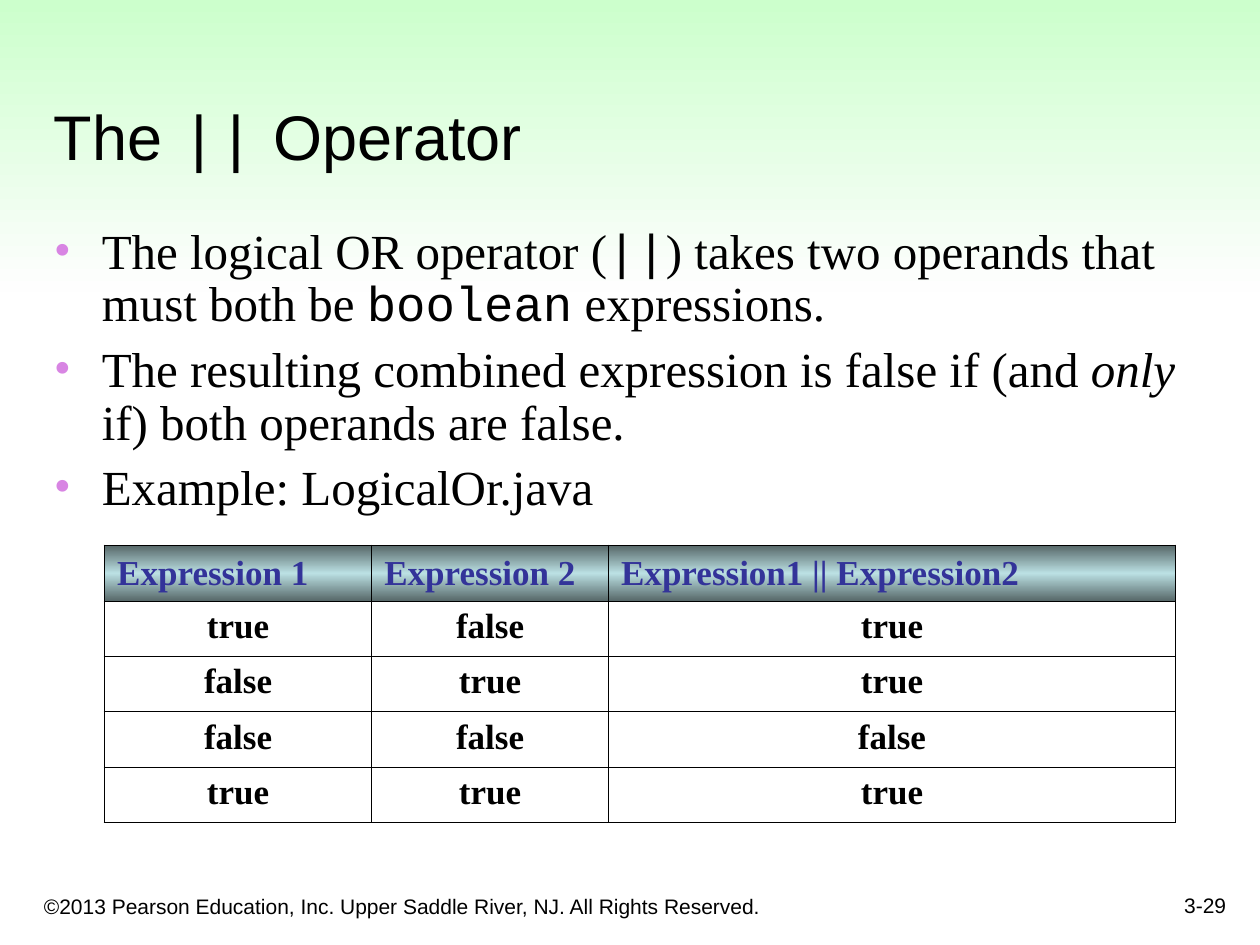
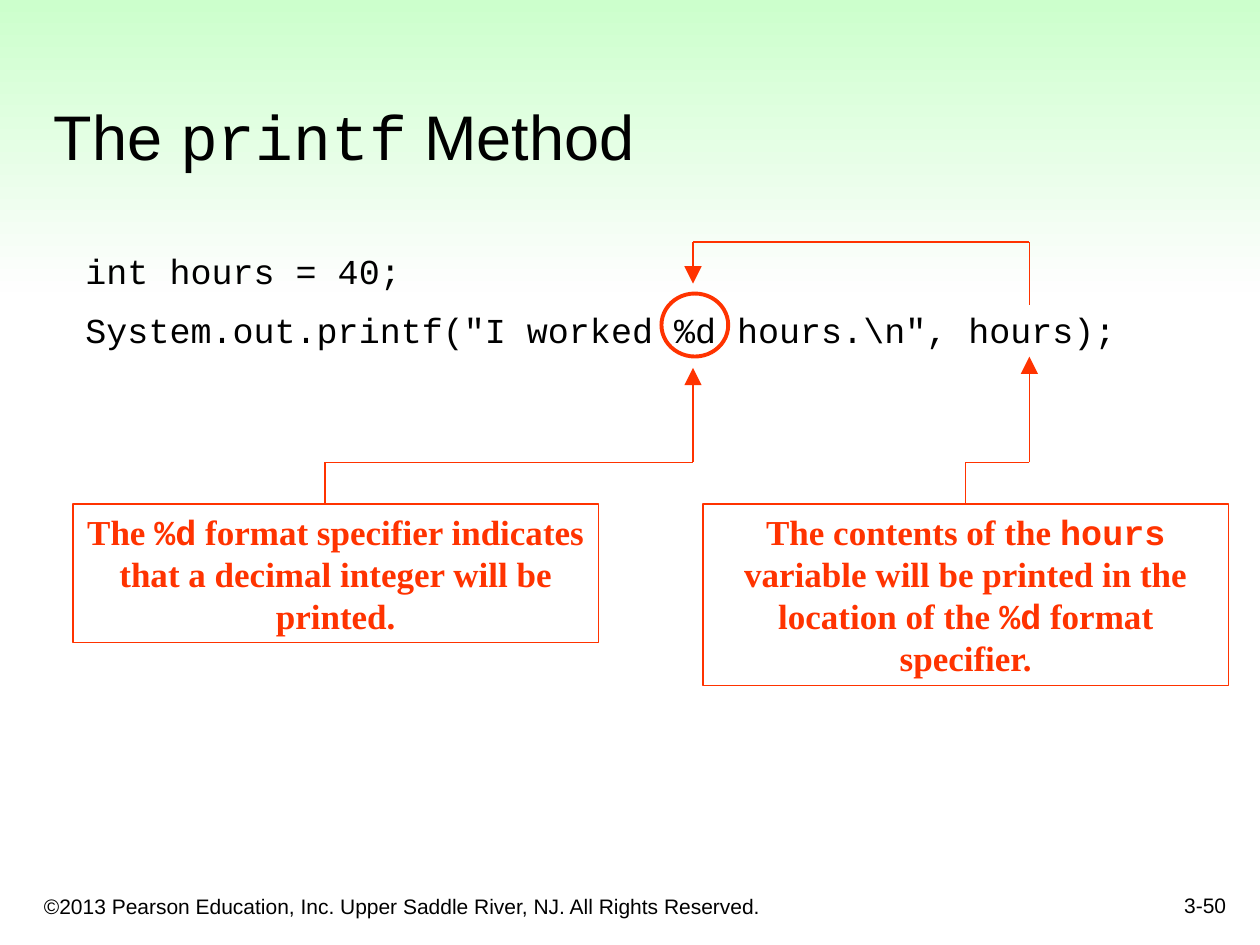
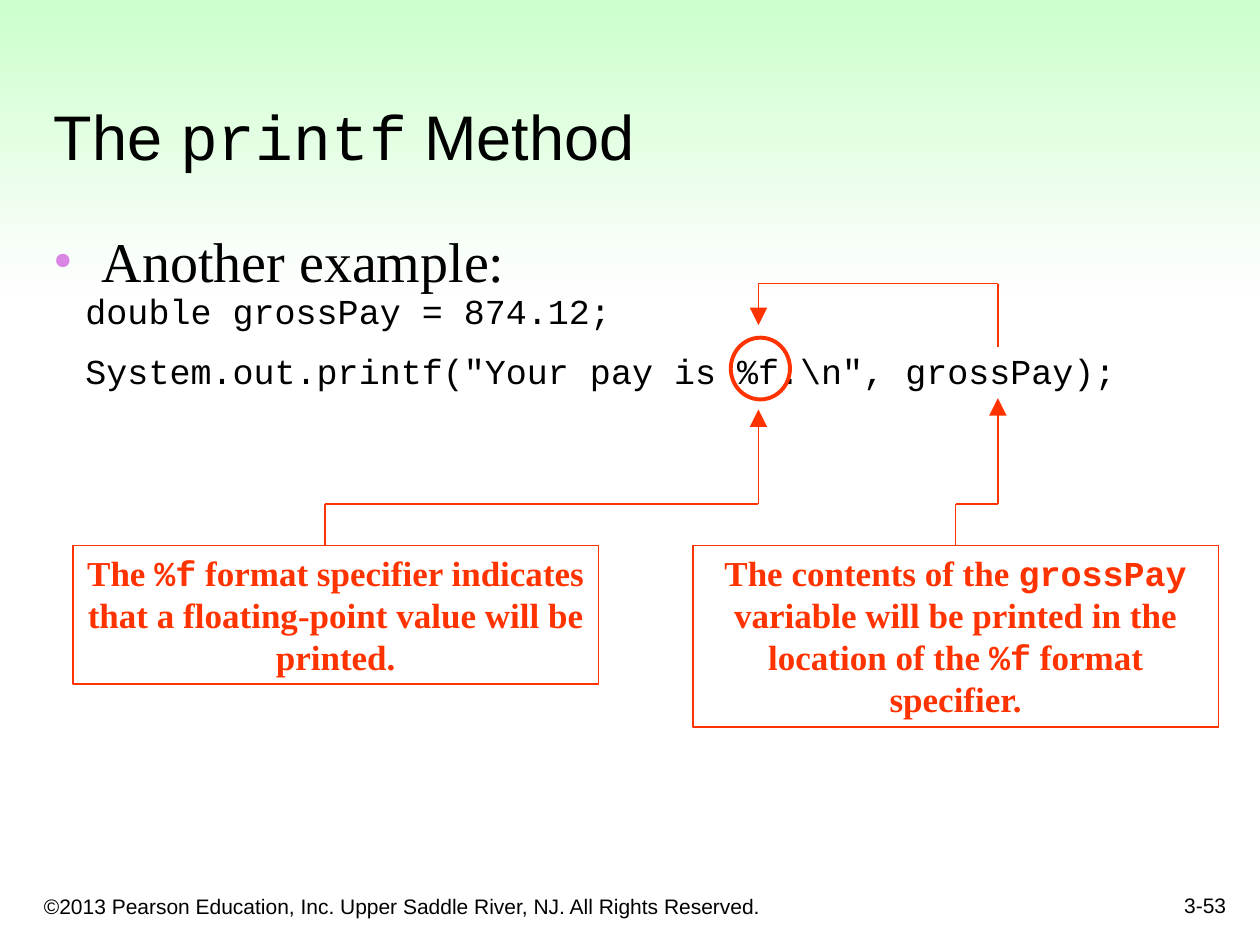
from lxml import etree
from pptx import Presentation
from pptx.dml.color import RGBColor
from pptx.enum.shapes import MSO_CONNECTOR, MSO_SHAPE
from pptx.enum.text import MSO_ANCHOR, PP_ALIGN
from pptx.oxml import parse_xml
from pptx.oxml.ns import nsdecls, qn
from pptx.util import Inches, Pt

RECTANGLE, OVAL = MSO_SHAPE.RECTANGLE, MSO_SHAPE.OVAL
STRAIGHT = MSO_CONNECTOR.STRAIGHT
TOP, MIDDLE, BOTTOM = MSO_ANCHOR.TOP, MSO_ANCHOR.MIDDLE, MSO_ANCHOR.BOTTOM
LEFT, CENTER, RIGHT = PP_ALIGN.LEFT, PP_ALIGN.CENTER, PP_ALIGN.RIGHT

COLORS = {
    "text": "000000",
    "band_top": "CCFFCC",
    "band_bottom": "FEFEFE",
    "bullet": "D885E3",
    "accent": "FF3300",
    "header_text": "333399",
    "header_edge": "576869",
    "header_middle": "BBE0E3",
}
SANS, SERIF, MONO = "Arial", "Times New Roman", "Courier New"
WIDTH, HEIGHT = 10, 7.5
CODE, ITALIC = "code", "italic"

COPYRIGHT = "©2013 Pearson Education, Inc. Upper Saddle River, NJ. All Rights Reserved."
PRINTF_TITLE = ["The ", ("printf", CODE), " Method"]

OR_BULLETS = [
    ["The logical OR operator (", ("||", CODE), ") takes two operands that must both be ",
     ("boolean", CODE), " expressions."],
    ["The resulting combined expression is false if (and ", ("only", ITALIC),
     " if) both operands are false."],
    ["Example: LogicalOr.java"],
]
TRUTH_TABLE = [
    ("Expression 1", "Expression 2", "Expression1 || Expression2"),
    ("true", "false", "true"),
    ("false", "true", "true"),
    ("false", "false", "false"),
    ("true", "true", "true"),
]
TRUTH_COLUMNS = (2.12, 1.88, 4.5)
TRUTH_ROW = 0.44

PRINTF_EXAMPLES = [
    {
        "page": "3-50",
        "bullets": [],
        "code": ["int hours = 40;", 'System.out.printf("I worked %d hours.\\n", hours);'],
        "code_top": 1.93,
        "specifier": "%d", "kind": "decimal integer", "variable": "hours",
        "circle": (5.25, 2.33, 0.53, 0.5),
        "specifier_x": 5.5, "variable_x": 8.17,
        "notes_top": 4, "variable_note_left": 5.58,
    },
    {
        "page": "3-53",
        "bullets": [["Another example:"]],
        "code": ["double grossPay = 874.12;", 'System.out.printf("Your pay is %f.\\n", grossPay);'],
        "code_top": 2.25,
        "specifier": "%f", "kind": "floating-point value", "variable": "grossPay",
        "circle": (5.8, 2.68, 0.47, 0.49),
        "specifier_x": 6.02, "variable_x": 7.92,
        "notes_top": 4.33, "variable_note_left": 5.5,
    },
]
NOTE_LEFT, NOTE_WIDTH = 0.58, 4.17


def rgb(name):
    return RGBColor.from_string(COLORS[name])


def inches(values):
    return [Inches(value) for value in values]


def gradient(*names):
    last = len(names) - 1
    stops = "".join(
        f'<a:gs pos="{100000 * index // last}"><a:srgbClr val="{COLORS[name]}"/></a:gs>'
        for index, name in enumerate(names))
    return parse_xml(f'<a:gradFill {nsdecls("a")} rotWithShape="1"><a:gsLst>{stops}</a:gsLst>'
                     '<a:lin ang="5400000" scaled="0"/></a:gradFill>')


def add_bullet(paragraph):
    properties = paragraph._p.get_or_add_pPr()
    properties.set("marL", str(Inches(0.38)))
    properties.set("indent", str(Inches(-0.38)))
    color = etree.SubElement(properties, qn("a:buClr"))
    etree.SubElement(color, qn("a:srgbClr")).set("val", COLORS["bullet"])
    etree.SubElement(properties, qn("a:buFont")).set("typeface", SERIF)
    etree.SubElement(properties, qn("a:buChar")).set("char", "•")


def write(frame, paragraphs, size, font=SERIF, color="text", align=LEFT, bold=False,
          anchor=TOP, bullets=False, before=0, after=0, spacing=None):
    frame.word_wrap = True
    frame.vertical_anchor = anchor
    for index, runs in enumerate(paragraphs):
        paragraph = frame.add_paragraph() if index else frame.paragraphs[0]
        if bullets:
            add_bullet(paragraph)
        paragraph.alignment = align
        paragraph.space_before = Pt(before if index else 0)
        paragraph.space_after = Pt(after)
        if spacing:
            paragraph.line_spacing = spacing
        for part in runs:
            text, style = part if isinstance(part, tuple) else (part, None)
            run = paragraph.add_run()
            run.text = text
            run.font.name = MONO if style == CODE else font
            run.font.size = Pt(size)
            run.font.bold = bold
            run.font.italic = style == ITALIC
            run.font.color.rgb = rgb(color)


def add_text(slide, box, paragraphs, size, **options):
    frame = slide.shapes.add_textbox(*inches(box)).text_frame
    write(frame, paragraphs, size, **options)
    return frame


def add_outline(slide, preset, box, weight):
    shape = slide.shapes.add_shape(preset, *inches(box))
    shape.shadow.inherit = False
    shape.fill.background()
    shape.line.color.rgb = rgb("accent")
    shape.line.width = Pt(weight)
    return shape


def add_route(slide, points):
    for start, end in zip(points, points[1:]):
        connector = slide.shapes.add_connector(STRAIGHT, *inches(start + end))
        connector.line.color.rgb = rgb("accent")
        connector.line.width = Pt(0.75)
        etree.SubElement(connector._element.spPr, qn("a:effectLst"))
    head = etree.SubElement(connector.line._get_or_add_ln(), qn("a:tailEnd"))
    for key, value in (("type", "triangle"), ("w", "lg"), ("len", "lg")):
        head.set(key, value)


def add_slide(presentation, title, page):
    slide = presentation.slides.add_slide(presentation.slide_layouts[6])
    band = slide.shapes.add_shape(RECTANGLE, *inches((0, 0, WIDTH, 2.32)))
    band.shadow.inherit = False
    band.line.fill.background()
    band.fill.background()
    properties = band._element.spPr
    properties.replace(properties.find(qn("a:noFill")), gradient("band_top", "band_bottom"))
    add_text(slide, (0.25, 6.92, 6.08, 0.42), [[COPYRIGHT]], 12, font=SANS, anchor=BOTTOM)
    add_text(slide, (7.75, 6.83, 2.08, 0.5), [[page]], 12, font=SANS, anchor=BOTTOM, align=RIGHT)
    add_text(slide, (0.33, 0.33, 9.42, 1.09), [title], 36, font=SANS, anchor=BOTTOM)
    return slide


def add_bullets(slide, height, paragraphs, size, **options):
    frame = add_text(slide, (0.33, 1.75, 9.07, height), paragraphs, size, bullets=True, **options)
    frame.margin_right = 0


def add_borders(cell, outer_sides):
    properties = cell._tc.get_or_add_tcPr()
    for side in "LRTB":
        line = etree.SubElement(properties, qn(f"a:ln{side}"))
        line.set("w", str(Pt(1.08 if side in outer_sides else 0.45)))
        fill = etree.SubElement(line, qn("a:solidFill"))
        etree.SubElement(fill, qn("a:srgbClr")).set("val", COLORS["text"])


def add_truth_table(slide):
    rows, columns = len(TRUTH_TABLE), len(TRUTH_COLUMNS)
    box = (0.83, 4.33, sum(TRUTH_COLUMNS), rows * TRUTH_ROW)
    table = slide.shapes.add_table(rows, columns, *inches(box)).table
    table.first_row = table.horz_banding = False
    for column, width in zip(table.columns, TRUTH_COLUMNS):
        column.width = Inches(width)
    for row, values in enumerate(TRUTH_TABLE):
        table.rows[row].height = Inches(TRUTH_ROW)
        for column, value in enumerate(values):
            cell = table.cell(row, column)
            header = row == 0
            write(cell.text_frame, [[value]], 20, bold=True,
                  color="header_text" if header else "text", align=LEFT if header else CENTER)
            cell.vertical_anchor = MIDDLE if header else TOP
            edges = {"L": column == 0, "R": column == columns - 1,
                     "T": header, "B": row == rows - 1}
            add_borders(cell, [side for side, outer in edges.items() if outer])
            if header:
                cell._tc.tcPr.append(gradient("header_edge", "header_middle", "header_edge"))
            else:
                cell.fill.background()


def add_note(slide, left, top, height, runs):
    note = add_outline(slide, RECTANGLE, (left, top, NOTE_WIDTH, height), 0.75)
    write(note.text_frame, [runs], 20, color="accent", align=CENTER, bold=True)


def add_printf_slide(presentation, example):
    slide = add_slide(presentation, PRINTF_TITLE, example["page"])
    if example["bullets"]:
        add_bullets(slide, 5, example["bullets"], 32)
    add_text(slide, (NOTE_LEFT, example["code_top"], 9.08, 0.91),
             [[line] for line in example["code"]], 20, font=MONO, before=5, after=5)
    add_outline(slide, OVAL, example["circle"], 2.25)

    top, left = example["notes_top"], example["variable_note_left"]
    specifier = (example["specifier"], CODE)
    add_note(slide, NOTE_LEFT, top, 1.1, [
        "The ", specifier,
        f" format specifier indicates that a {example['kind']} will be printed."])
    add_note(slide, left, top, 1.44, [
        "The contents of the ", (example["variable"], CODE),
        " variable will be printed in the location of the ", specifier, " format specifier."])

    specifier_x, variable_x = example["specifier_x"], example["variable_x"]
    over, bend = top - 2.08, top - 0.33
    add_route(slide, [(variable_x, top - 1.58), (variable_x, over),
                      (specifier_x, over), (specifier_x, top - 1.75)])
    for start_x, end_x, end_y in ((2.58, specifier_x, top - 1.08),
                                  (left + NOTE_WIDTH / 2, variable_x, top - 1.17)):
        add_route(slide, [(start_x, top), (start_x, bend), (end_x, bend), (end_x, end_y)])


def main():
    presentation = Presentation()
    presentation.slide_width, presentation.slide_height = inches((WIDTH, HEIGHT))
    slide = add_slide(presentation, ["The ", ("||", CODE), " Operator"], "3-29")
    add_bullets(slide, 2.42, OR_BULLETS, 28, before=7, spacing=0.9)
    add_truth_table(slide)
    for example in PRINTF_EXAMPLES:
        add_printf_slide(presentation, example)
    presentation.save("out.pptx")


if __name__ == "__main__":
    main()
